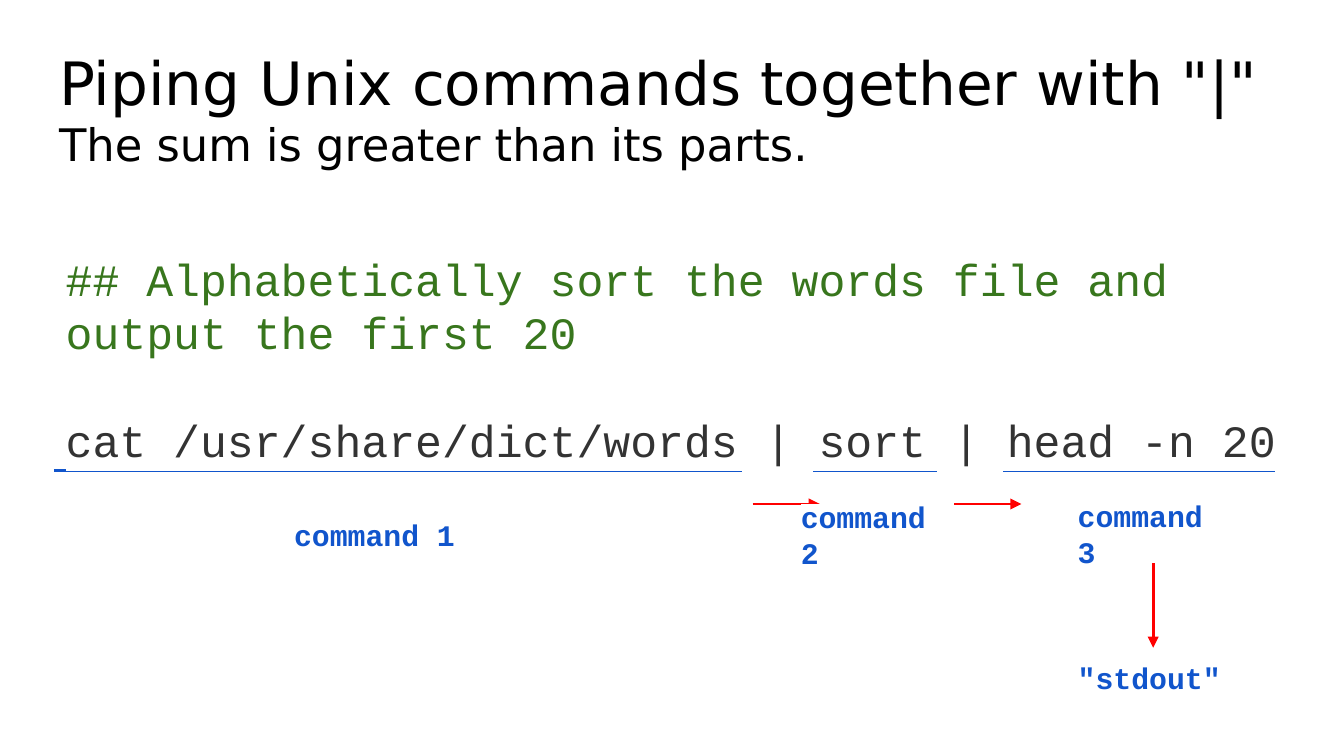
from pptx import Presentation
from pptx.dml.color import RGBColor as RGB
from pptx.enum.shapes import MSO_CONNECTOR as Link
from pptx.enum.text import MSO_ANCHOR as Anchor, MSO_AUTO_SIZE as Fit, PP_ALIGN as Align
from pptx.oxml import parse_xml
from pptx.oxml.ns import nsdecls, qn
from pptx.util import Inches, Pt

# Content: (text, style) lines, and geometry in inches
TITLE = [('Piping Unix commands together with "|"', "title"),
         ("The sum is greater than its parts.", "sub")]
CODE = [("## Alphabetically sort the words file and output the first 20", "note"),
        ("cat /usr/share/dict/words | sort | head -n 20", "code")]
LABELS = [("command 2", 5.86, 3.76, 1.31),
          ("command 1", 2.09, 3.76, 1.6),
          ("command 3", 7.92, 3.75, 1.31),
          ('"stdout"', 7.92, 4.82, 1.31)]
SPANS = [(0.4, 5.52), (6.05, 6.97), (7.46, 9.49)]
ARROWS = [(5.6, 3.75, 6.1, 3.75), (7.1, 3.75, 7.6, 3.75)]
DOWN = (8.58, 4.19, 8.58, 4.82)
RULE_Y, LABEL_H = 3.5, 0.44

# Theme: lines, and text styles
MONO, SANS = "Courier New", "DejaVu Sans"
THEME = {
    "rule": "1155CC", "arrow": "FF0000", "back": "FFFFFF", "width": 1.5,
    "title": dict(size=32, font=SANS, color="000000"),
    "sub": dict(size=24, font=SANS, color="000000"),
    "note": dict(size=24, font=MONO, color="38761D", mark=True),
    "code": dict(size=24, font=MONO, color="333333", mark=True, gap=28.8),
    "label": dict(size=16, font=MONO, color="1155CC", mark=True, bold=True),
}


def write(para, text, size, font, color, bold=False, mark=False, gap=0):
    para.alignment = Align.LEFT
    para.line_spacing, para.space_before, para.space_after = 1.0, Pt(gap), Pt(0)
    run = para.add_run()
    run.text = text
    face = run.font
    face.size, face.name, face.bold = Pt(size), font, bold
    face.color.rgb = RGB.from_string(color)
    if mark:
        latin = run._r.rPr.find(qn("a:latin"))
        latin.addprevious(parse_xml(
            f'<a:highlight {nsdecls("a")}><a:srgbClr val="{THEME["back"]}"/></a:highlight>'))


def fill(shape, lines):
    frame = shape.text_frame
    frame.word_wrap, frame.auto_size = True, Fit.NONE
    frame.vertical_anchor = Anchor.MIDDLE
    frame.margin_left = frame.margin_right = Inches(0.1)
    frame.margin_top = frame.margin_bottom = Inches(0.1)
    for i, (text, style) in enumerate(lines):
        para = frame.add_paragraph() if i else frame.paragraphs[0]
        write(para, text, **THEME[style])


def box(x, y, w, h, lines):
    fill(slide.shapes.add_textbox(*map(Inches, (x, y, w, h))), lines)


def line(ends, color, head=False):
    link = slide.shapes.add_connector(Link.STRAIGHT, *map(Inches, ends))
    link.line.color.rgb = RGB.from_string(color)
    link.line.width = Pt(THEME["width"])
    if head:
        link.line._get_or_add_ln().append(
            parse_xml(f'<a:tailEnd {nsdecls("a")} type="triangle"/>'))
    link._element.spPr.append(parse_xml(f'<a:effectLst {nsdecls("a")}/>'))


# Widescreen 16:9 slide
deck = Presentation()
deck.slide_width = Inches(10)
deck.slide_height = deck.slide_width * 9 // 16
slide = deck.slides.add_slide(deck.slide_layouts[5])

# Title
title = slide.shapes.title
title.left, title.top, title.width, title.height = map(Inches, (0.34, 0.35, 9.32, 0.91))
fill(title, TITLE)

# Rules under the commands, and the pipe arrows
for left, right in SPANS:
    line((left, RULE_Y, right, RULE_Y), THEME["rule"])
for ends in ARROWS:
    line(ends, THEME["arrow"], head=True)

# Labels and the output arrow
for text, x, y, w in LABELS:
    box(x, y, w, LABEL_H, [(text, "label")])
line(DOWN, THEME["arrow"], head=True)

# Code, whose white backing trims the rules
box(0.39, 1.94, 9.53, 1.46, CODE)

deck.save("out.pptx")
